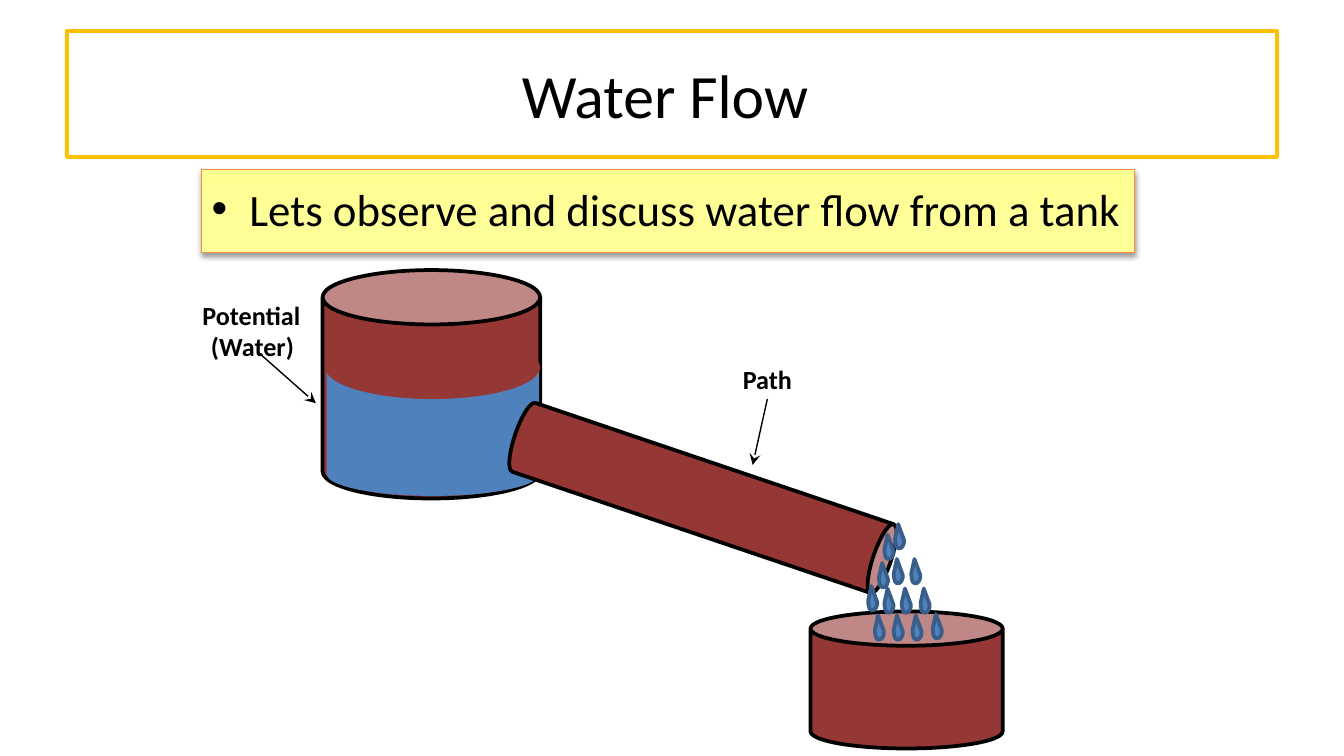
from lxml.etree import SubElement
from pptx import Presentation
from pptx.dml.color import RGBColor as Color
from pptx.enum.shapes import MSO_CONNECTOR as Connector, MSO_SHAPE as Preset
from pptx.enum.text import MSO_ANCHOR as Anchor, PP_ALIGN as Align
from pptx.oxml.ns import qn
from pptx.util import Pt

# Content; boxes are left, top, width, height in points
TITLE = ("Water Flow ", (36, 16.5, 648, 67.5))
BANNER_BOX = (108, 90.7, 499.7, 44.6)
STATEMENT = ("Lets observe and discuss water flow from a tank", (108, 94.5, 499.7, 267))
LABELS = [
    (["Path"], [Align.CENTER], (377.3, 192.2, 67.7, 21.6)),
    (["Potential", "(Water) "], [Align.LEFT, Align.CENTER], (103, 157.7, 67.7, 38.2)),
]
ARROWS = [((411.1, 213.8), (403.2, 249.1)), ((138.2, 188.6), (169.2, 216))]

# Vessels: preset, box, fill name, outlined, rim adjustment, rotation
VESSELS = [
    (Preset.CAN, (172.8, 144.7, 116.6, 122.4), "clay", True, 0.25, 0),      # tank
    (Preset.CAN, (175, 187.2, 113.8, 78.5), "water", False, 0.3, 0),        # water
    (Preset.OVAL, (174.2, 180, 115.2, 33.8), "clay", False, None, 0),       # water level
    (Preset.CAN, (357.1, 160.6, 38.9, 212.4), "clay", True, 0.25, 108.7),   # pipe
    (Preset.CAN, (434.2, 327.6, 103, 73.4), "clay", True, 0.25, 0),         # basin
]

# Water drops: outline of one drop, and where each drop starts
DROP_OUTLINE = [(1.7, 0), (0, 7.6), (0, 8.5), (0.2, 10.2), (0.6, 11.9), (1, 12.4),
                (1.6, 12.9), (2.3, 12.9), (3.2, 12.8), (4, 12), (4.4, 11.2),
                (4.8, 10), (4.8, 8.5)]
DROPS = [
    (479.5, 280.8), (473.8, 286.5), (470.9, 301.7), (478.8, 299.5), (488.2, 299.5),
    (465.1, 314), (473.8, 315.3), (483.1, 315.3), (493.2, 315.3),
    (468.7, 329.7), (478.8, 329.7), (488.9, 329.7), (499.7, 329),
]

THEME = {
    "font": "Calibri", "title": 33, "body": 24, "label": 14,
    "thick": 2, "thin": 0.75,
    "ink": Color.from_string("000000"),
    "paper": Color.from_string("FFFFFF"),
    "gold": Color.from_string("FFC000"),
    "orange": Color.from_string("F5913F"),
    "yellow": Color.from_string("FFFF99"),
    "yellow_deep": Color.from_string("FFFF91"),
    "clay": Color.from_string("953734"),
    "water": Color.from_string("4F81BD"),
    "drop_edge": Color.from_string("395E89"),
}


def points(values):
    return [Pt(value) for value in values]


def style(shape, fill=None, line=None, width=THEME["thick"]):
    shape.shadow.inherit = False
    if fill:
        shape.fill.solid()
        shape.fill.fore_color.rgb = THEME[fill]
    if line:
        shape.line.color.rgb = THEME[line]
        shape.line.width = Pt(width)
    else:
        shape.line.fill.background()


def write_text(shape, lines, size, aligns, anchor=Anchor.TOP, bold=False, bullet=False):
    frame = shape.text_frame
    frame.word_wrap = True
    frame.vertical_anchor = anchor
    frame.margin_left = frame.margin_right = Pt(5.4)
    frame.margin_top = frame.margin_bottom = Pt(2.7)
    for index, (line, align) in enumerate(zip(lines, aligns)):
        paragraph = frame.add_paragraph() if index else frame.paragraphs[0]
        paragraph.alignment = align
        if bullet:
            properties = paragraph._p.get_or_add_pPr()
            properties.set("marL", str(Pt(20.25)))
            properties.set("indent", str(-Pt(20.25)))
            SubElement(properties, qn("a:buFont"), typeface="Arial")
            SubElement(properties, qn("a:buChar"), char="•")
        run = paragraph.add_run()
        run.text = line
        run.font.name = THEME["font"]
        run.font.size = Pt(THEME[size])
        run.font.bold = bold
        run.font.color.rgb = THEME["ink"]


def add_banner(shapes):
    banner = shapes.add_shape(Preset.RECTANGLE, *points(BANNER_BOX))
    style(banner, line="orange", width=THEME["thin"])
    banner.fill.gradient()
    banner.fill.gradient_angle = 90
    for stop, name, position in zip(banner.fill.gradient_stops,
                                    ("yellow", "yellow_deep"), (0.35, 1)):
        stop.color.rgb = THEME[name]
        stop.position = position
    # Soft shadow below the banner
    effects = banner._element.spPr.find(qn("a:effectLst"))
    shadow = SubElement(effects, qn("a:outerShdw"), blurRad=str(Pt(3.1)),
                        dist=str(Pt(1.6)), dir="5400000", rotWithShape="0")
    color = SubElement(shadow, qn("a:srgbClr"), val=str(THEME["ink"]))
    SubElement(color, qn("a:alpha"), val="38000")


def add_drop(shapes, left, top):
    start, *rest = [points(point) for point in DROP_OUTLINE]
    builder = shapes.build_freeform(*start)
    builder.add_line_segments(rest, close=True)
    style(builder.convert_to_shape(Pt(left), Pt(top)), "water", "drop_edge")


def add_arrow(shapes, start, end):
    arrow = shapes.add_connector(Connector.STRAIGHT, *points(start + end))
    arrow.line.color.rgb = THEME["ink"]
    arrow.line.width = Pt(THEME["thin"])
    SubElement(arrow.line._get_or_add_ln(), qn("a:tailEnd"), type="stealth")
    SubElement(arrow._element.spPr, qn("a:effectLst"))


def main():
    presentation = Presentation()
    presentation.slide_width, presentation.slide_height = Pt(720), Pt(405)
    shapes = presentation.slides.add_slide(presentation.slide_layouts[6]).shapes

    # Heading and statement
    add_banner(shapes)
    text, box = TITLE
    title = shapes.add_shape(Preset.RECTANGLE, *points(box))
    style(title, "paper", "gold")
    write_text(title, [text], "title", [Align.CENTER], anchor=Anchor.MIDDLE)
    text, box = STATEMENT
    write_text(shapes.add_textbox(*points(box)), [text], "body", [Align.LEFT], bullet=True)

    # Tank, pipe and basin
    for preset, box, fill, outlined, rim, rotation in VESSELS:
        vessel = shapes.add_shape(preset, *points(box))
        style(vessel, fill, "ink" if outlined else None)
        vessel.rotation = rotation
        if rim:
            vessel.adjustments[0] = rim

    # Falling water
    for left, top in DROPS:
        add_drop(shapes, left, top)

    # Labels and their arrows
    for (lines, aligns, box), (start, end) in zip(LABELS, ARROWS):
        add_arrow(shapes, start, end)
        write_text(shapes.add_textbox(*points(box)), lines, "label", aligns, bold=True)

    presentation.save("out.pptx")


if __name__ == "__main__":
    main()
